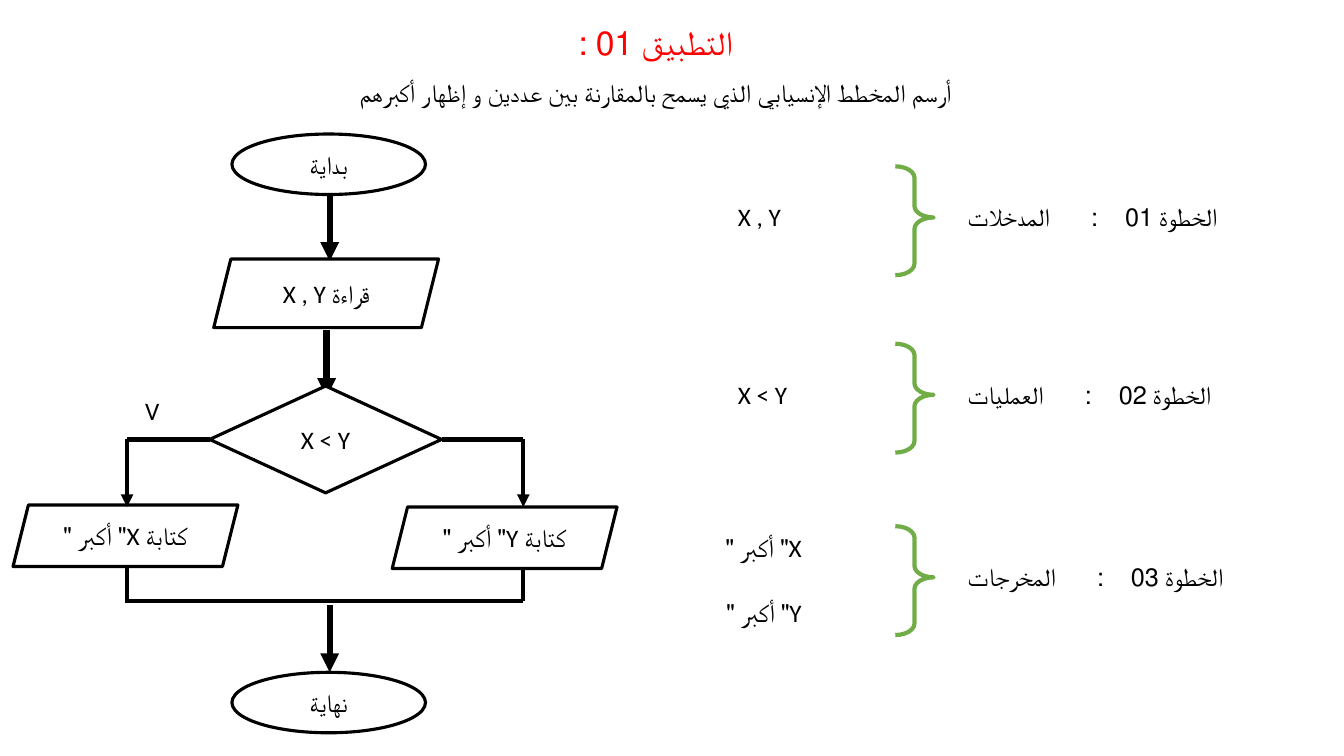
from lxml import etree
from pptx import Presentation
from pptx.dml.color import RGBColor
from pptx.enum.shapes import MSO_CONNECTOR, MSO_SHAPE
from pptx.enum.text import MSO_ANCHOR, PP_ALIGN
from pptx.oxml.ns import qn
from pptx.util import Pt

PX = 9144  # EMU per px, 100 px to the inch
BLACK = RGBColor(0, 0, 0)
WHITE = RGBColor(255, 255, 255)
RED = RGBColor(255, 0, 0)
GREEN = RGBColor(0x70, 0xAD, 0x47)
STRAIGHT = MSO_CONNECTOR.STRAIGHT
OVAL, DIAMOND = MSO_SHAPE.OVAL, MSO_SHAPE.DIAMOND
PARALLELOGRAM, BRACE = MSO_SHAPE.PARALLELOGRAM, MSO_SHAPE.RIGHT_BRACE
LEFT, CENTER, RIGHT = PP_ALIGN.LEFT, PP_ALIGN.CENTER, PP_ALIGN.RIGHT
MIDDLE = MSO_ANCHOR.MIDDLE

STEPS = [
    ("الخطوة 01", "المدخلات", [("X , Y", False)]),
    ("الخطوة 02", "العمليات", [("X < Y", False)]),
    ("الخطوة 03", "المخرجات", [('X" أكبر "', True), ('Y" أكبر "', True)]),
]


def emu(*lengths):
    return [length * PX for length in lengths]


def style(paragraph, font="Calibri", size=18, color=BLACK, align=LEFT, rtl=False):
    paragraph.alignment = align
    if rtl:
        paragraph._p.get_or_add_pPr().set("rtl", "1")
    paragraph.font.name = font
    paragraph.font.size = Pt(size)
    paragraph.font.color.rgb = color


def add_text_box(slide, x, y, width, height=40):
    frame = slide.shapes.add_textbox(*emu(x, y, width, height)).text_frame
    frame.word_wrap = True
    return frame


def add_text(slide, x, y, width, text, **look):
    paragraph = add_text_box(slide, x, y, width).paragraphs[0]
    paragraph.text = text
    style(paragraph, **look)


def add_node(slide, kind, x, y, width, height, text, **look):
    node = slide.shapes.add_shape(kind, *emu(x, y, width, height))
    node.shadow.inherit = False
    node.fill.solid()
    node.fill.fore_color.rgb = WHITE
    node.line.color.rgb = BLACK
    node.line.width = Pt(2.25)
    frame = node.text_frame
    frame.vertical_anchor = MIDDLE
    frame.paragraphs[0].text = text
    style(frame.paragraphs[0], align=CENTER, **look)


def add_line(slide, x1, y1, x2, y2, weight=3, arrow=False):
    line = slide.shapes.add_connector(STRAIGHT, *emu(x1, y1, x2, y2))
    line.line.color.rgb = BLACK
    line.line.width = Pt(weight)
    if arrow:
        etree.SubElement(line.line._get_or_add_ln(), qn("a:tailEnd"), type="triangle")
    etree.SubElement(line._element.spPr, qn("a:effectLst"))


def add_heading(slide, x, y, width, height):
    frame = add_text_box(slide, x, y, width, height)
    title = frame.paragraphs[0]
    title.text = "التطبيق 01 :"
    style(title, "Arial", 24, RED, CENTER, True)
    task = frame.add_paragraph()
    task.text = "أرسم المخطط الإنسيابي الذي يسمح بالمقارنة بين عددين و إظهار أكبرهم"
    task.line_spacing = 1.5
    style(task, "Arial", align=CENTER, rtl=True)


def add_step_label(slide, x, y, width, step, name):
    """Widen the spaces on both sides of the colon by character spacing."""
    paragraph = add_text_box(slide, x, y, width).paragraphs[0]
    for text, spacing in ((step, 0), (" ", 15), (":", 0), (" ", 25), (name, 0)):
        run = paragraph.add_run()
        run.text = text
        if spacing:
            run.font._element.set("spc", str(spacing * 100))
    style(paragraph, "Arial")


def add_step(slide, x, y, step, name, values):
    brace = slide.shapes.add_shape(BRACE, *emu(x + 225, y, 38, 108))
    brace.adjustments[0], brace.adjustments[1] = 0.3, 0.47
    brace.shadow.inherit = False
    brace.fill.background()
    brace.line.color.rgb = GREEN
    brace.line.width = Pt(3)
    add_step_label(slide, x + 287, y + 30, 417, step, name)
    middle = y + 33 if len(values) > 1 else y + 30
    for index, (text, rtl) in enumerate(values):
        top = middle + 65 * index - 32 * (len(values) - 1)
        left = x if rtl else x + 59
        add_text(slide, left, top, 142, text, align=RIGHT if rtl else LEFT, rtl=rtl)


def add_branch(slide, y, tip, center, box_left, box_top, text):
    """Lead from a tip of the diamond through a writing box to the joining line."""
    add_node(slide, PARALLELOGRAM, box_left, box_top, 223, 61, text, rtl=True)
    add_line(slide, tip, y, center, y)
    add_line(slide, center, y, center, y + 67, arrow=True)
    add_line(slide, center, y + 160, center, y + 128)


def add_flowchart(slide, x, y):
    axis = x + 314
    for top, text in ((y, "بداية"), (y + 534, "نهاية")):
        add_node(slide, OVAL, x + 217, top, 192, 60, text, font="Arial")
    arrows = ((axis, y + 59), (axis - 3, y + 194), (axis, y + 467))
    for arrow_x, top in arrows:
        add_line(slide, arrow_x, top, arrow_x, top + 67, 4.5, True)
    add_node(slide, PARALLELOGRAM, x + 199, y + 124, 223, 68, "قراءة X , Y", rtl=True)
    add_node(slide, DIAMOND, x + 195, y + 250, 230, 106, "X < Y")
    fork = y + 303
    add_branch(slide, fork, x + 195, x + 113, x, y + 368, 'كتابة X" أكبر "')
    add_branch(slide, fork, x + 425, x + 506, x + 376, y + 370, 'كتابة Y" أكبر "')
    add_line(slide, x + 111, fork + 160, x + 506, fork + 160)
    add_text(slide, x + 121, y + 254, 42, "V")


def main():
    presentation = Presentation()
    presentation.slide_width, presentation.slide_height = emu(1333, 750)
    slide = presentation.slides.add_slide(presentation.slide_layouts[6])
    add_heading(slide, 155, 17, 991, 96)
    for top, step in zip((165, 341, 522), STEPS):
        add_step(slide, 663, top, *step)
    add_flowchart(slide, 13, 133)
    presentation.save("out.pptx")


if __name__ == "__main__":
    main()
